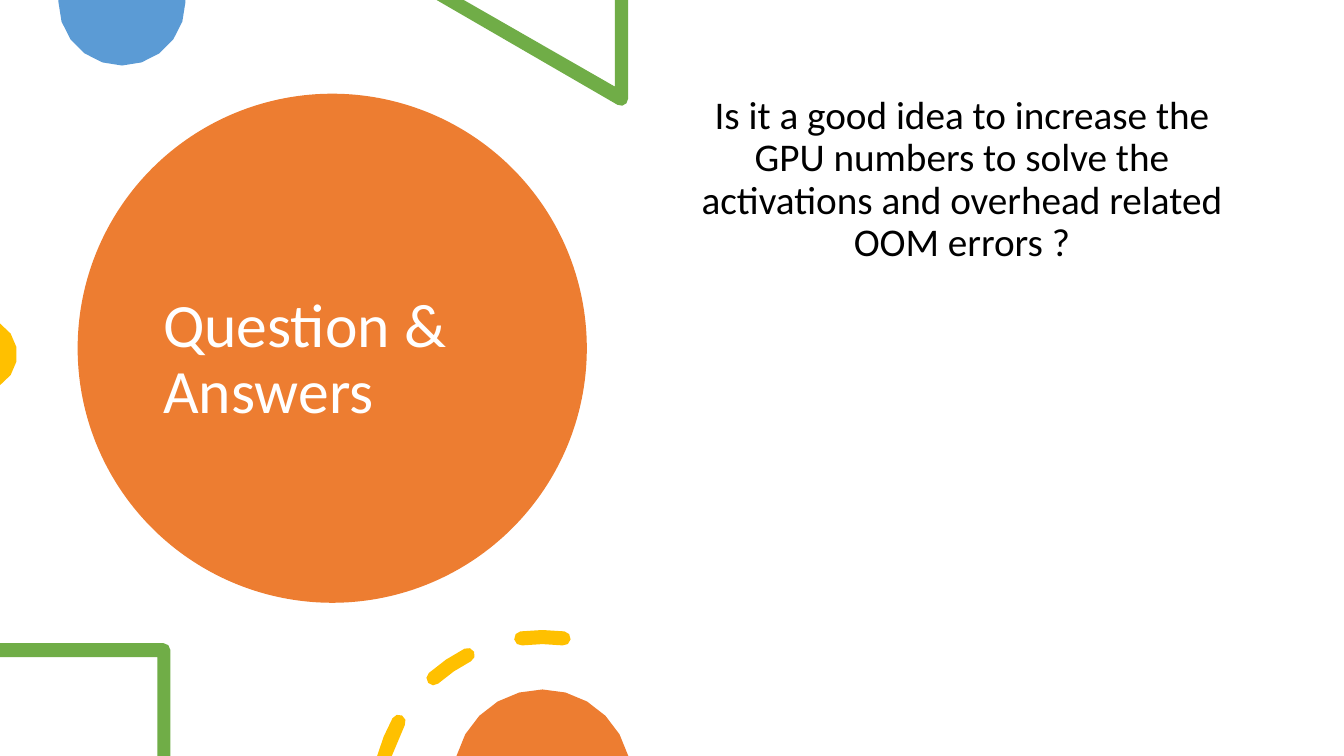
import math
from dataclasses import dataclass

import pptx
import pptx.dml.color
import pptx.enum.shapes
import pptx.enum.text
import pptx.util

# Slide grid: square cells, 75 rows high
SLIDE_WIDTH, SLIDE_HEIGHT = 13.33, 7.5
ROWS = 75
CELL = SLIDE_HEIGHT / ROWS
COLUMNS = SLIDE_WIDTH / CELL
FLATNESS = 0.09  # largest gap between an arc and its chords, in cells


@dataclass(frozen=True)
class Theme:
    font: str = "Calibri"
    title_size: int = 44
    body_size: int = 28
    white: str = "FFFFFF"
    black: str = "000000"
    orange: str = "ED7D31"
    blue: str = "5B9BD5"
    green: str = "70AD47"
    yellow: str = "FFC000"


@dataclass(frozen=True)
class Box:
    """A region measured in grid cells."""
    left: float
    top: float
    width: float
    height: float


THEME = Theme()


def cells(count):
    return pptx.util.Inches(count * CELL)


def colour(value):
    return pptx.dml.color.RGBColor.from_string(value)


def polar(x, y, radius, degrees):
    """Point on a circle; degrees run clockwise from the right."""
    angle = math.radians(degrees)
    return x + radius * math.cos(angle), y + radius * math.sin(angle)


def arc(x, y, radius, start, end):
    """As few points as keep the arc smooth."""
    stride = math.degrees(math.sqrt(8 * FLATNESS / radius))
    steps = math.ceil(abs(end - start) / stride)
    return [polar(x, y, radius, start + (end - start) * i / steps)
            for i in range(steps + 1)]


def paint(shape, fill):
    shape.shadow.inherit = False
    shape.fill.solid()
    shape.fill.fore_color.rgb = colour(fill)
    shape.line.fill.background()


def add_outline(page, box, fill, *contours):
    """Draw closed contours, given in cells from the corner of the box."""
    placed = [[(cells(box.left + x), cells(box.top + y)) for x, y in contour]
              for contour in contours]
    builder = page.shapes.build_freeform(*placed[0][0], scale=1.0)
    for index, points in enumerate(placed):
        if index:
            builder.move_to(*points[0])
        builder.add_line_segments(points[1:], close=True)
    paint(builder.convert_to_shape(), fill)


def add_text(page, box, text, anchor, paragraph_format, font_format):
    frame = page.shapes.add_textbox(
        *map(cells, (box.left, box.top, box.width, box.height))).text_frame
    frame.word_wrap = True
    frame.vertical_anchor = anchor
    para = frame.paragraphs[0]
    for name, value in paragraph_format.items():
        setattr(para, name, value)
    span = para.add_run()
    span.text = text
    span.font.color.rgb = colour(font_format["colour"])
    for name in ("name", "size"):
        setattr(span.font, name, font_format[name])


def draw_title(page, box):
    # Large disc with the title inside it
    disc = page.shapes.add_shape(
        pptx.enum.shapes.MSO_SHAPE.OVAL,
        *map(cells, (box.left, box.top, box.width, box.height)))
    paint(disc, THEME.orange)
    label = Box(box.left + 7.5, box.top + 4.2, box.width * 0.7, box.height - 6)
    add_text(page, label, "Question & Answers", pptx.enum.text.MSO_ANCHOR.MIDDLE,
             {"line_spacing": 0.9},
             {"name": THEME.font, "size": pptx.util.Pt(THEME.title_size),
              "colour": THEME.white})


def draw_top_art(page, box):
    # Half disc hanging from the top edge
    add_outline(page, box, THEME.blue,
                [(18.4, 0), (5.8, 0)] + arc(12.1, 0.2, 6.3, 180, 0))
    # Corner of a triangular frame with a rounded tip
    add_outline(page, box, THEME.green,
                [(62.3, 0), (61, 0), (61, 8.6), (46, 0), (43.3, 0)]
                + arc(61.6, 9.8, 0.7, 120, 0))


def draw_side_art(page, box):
    # Disc cut by the left edge
    add_outline(page, box, THEME.yellow,
                arc(box.width - 3.6, box.height / 2, 3.6, -58, 58))


def draw_question(page, box):
    add_text(page, box,
             "Is it a good idea to increase the GPU numbers to solve the "
             "activations and overhead related OOM errors ?",
             pptx.enum.text.MSO_ANCHOR.TOP,
             {"line_spacing": 0.9, "alignment": pptx.enum.text.PP_ALIGN.CENTER},
             {"name": THEME.font, "size": pptx.util.Pt(THEME.body_size),
              "colour": THEME.black})


def draw_bottom_art(page, box):
    floor = box.height
    # Corner of a square frame
    add_outline(page, box, THEME.green,
                [(0, 1.3)] + arc(16.2, 2, 0.7, -90, 0)
                + [(16.9, floor), (15.6, floor), (15.6, 2.7), (0, 2.7)])

    # Dashed ring around a centre below the slide
    x, y, outer, inner = 53.8, 17, 17, 15.6
    middle, thickness = (outer + inner) / 2, outer - inner

    def cap(degrees, turn):
        centre = polar(x, y, middle, degrees)
        return arc(*centre, thickness / 2, degrees + turn, degrees + turn + 180)[1:-1]

    def dash(start, end, inner_start=None):
        """A band with a round cap at its end, and at its start unless cut."""
        contour = arc(x, y, outer, start, end) + cap(end, 0)
        contour += arc(x, y, inner, end, inner_start or start)
        return contour if inner_start else contour + cap(start, 180)

    cut_outer, cut_inner = (
        180 + math.degrees(math.asin((y - floor) / radius)) for radius in (outer, inner))
    add_outline(page, box, THEME.yellow,
                dash(cut_outer, 209, cut_inner), dash(228.5, 243), dash(262.6, 277.4))
    # Disc cut by the bottom edge
    add_outline(page, box, THEME.orange, arc(x, 14.7, 8.8, 194.5, 345.5))


def build_slide(page):
    half = COLUMNS / 2
    draw_title(page, Box(7.7, 9.3, 50.5, 50.5))
    draw_top_art(page, Box(0, 0, half, 10.5))
    draw_side_art(page, Box(0, 32.1, 1.7, 6.1))
    draw_question(page, Box(half, 9, 57.5, 53.5))
    draw_bottom_art(page, Box(0, ROWS - 12.5, half, 12.5))


def main():
    deck = pptx.Presentation()
    deck.slide_width = pptx.util.Inches(SLIDE_WIDTH)
    deck.slide_height = pptx.util.Inches(SLIDE_HEIGHT)
    page = deck.slides.add_slide(deck.slide_layouts[6])
    build_slide(page)
    deck.save("out.pptx")


if __name__ == "__main__":
    main()
